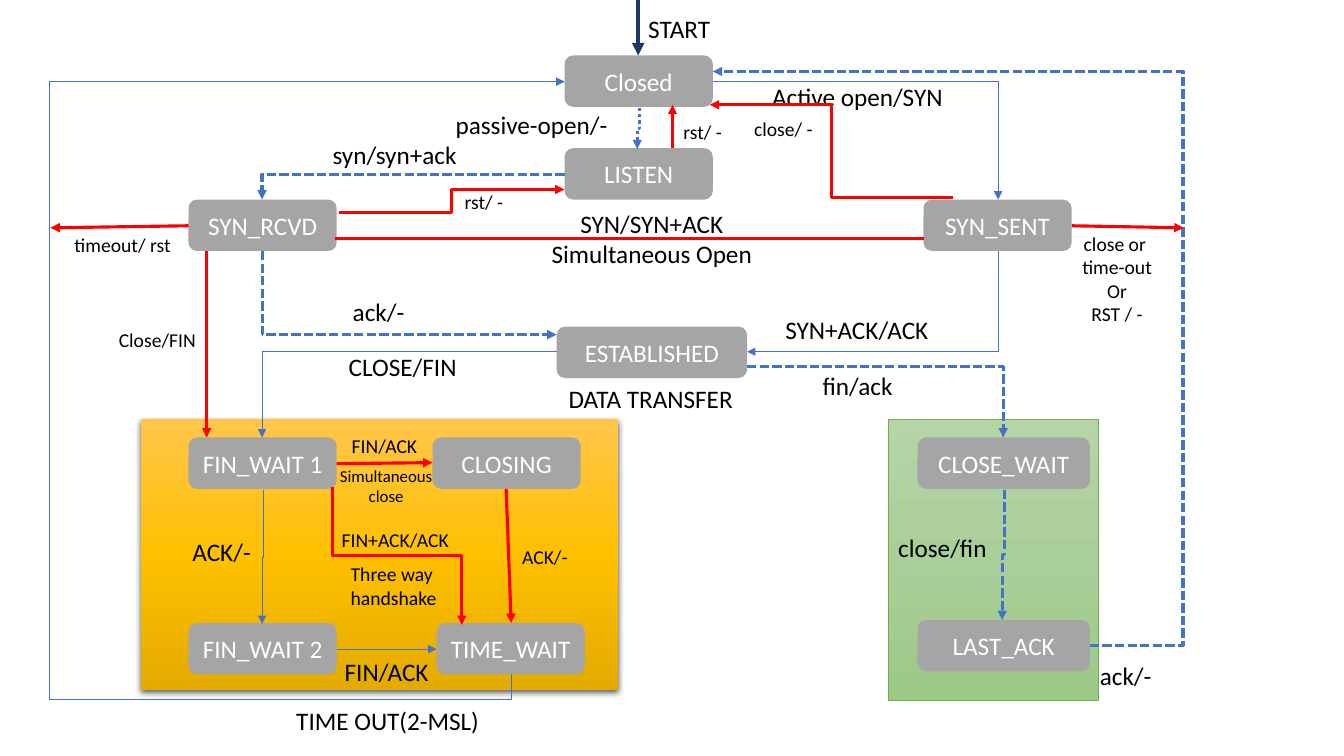
from lxml import etree
from pptx import Presentation
from pptx.dml.color import RGBColor
from pptx.enum.dml import MSO_LINE
from pptx.enum.shapes import MSO_CONNECTOR, MSO_SHAPE
from pptx.enum.text import MSO_ANCHOR, MSO_AUTO_SIZE, PP_ALIGN
from pptx.oxml.ns import qn
from pptx.util import Inches, Pt

RECT, ROUND = MSO_SHAPE.RECTANGLE, MSO_SHAPE.ROUNDED_RECTANGLE
STRAIGHT, ELBOW = MSO_CONNECTOR.STRAIGHT, MSO_CONNECTOR.ELBOW
LEFT, CENTER, MIDDLE = PP_ALIGN.LEFT, PP_ALIGN.CENTER, MSO_ANCHOR.MIDDLE
FIT = MSO_AUTO_SIZE.SHAPE_TO_FIT_TEXT
DOT, DASH = MSO_LINE.ROUND_DOT, MSO_LINE.SQUARE_DOT

BLACK, WHITE = RGBColor(0, 0, 0), RGBColor(255, 255, 255)
GRAY, RED = RGBColor(0xA5, 0xA5, 0xA5), RGBColor(255, 0, 0)
BLUE, NAVY = RGBColor(0x44, 0x72, 0xC4), RGBColor(0x20, 0x38, 0x64)
GREEN = RGBColor(0x70, 0xAD, 0x47)
LEAVES = [RGBColor(0xB5, 0xD5, 0xA7), RGBColor(0xAA, 0xCE, 0x9A), RGBColor(0x9C, 0xC9, 0x87)]
GOLDS = [RGBColor(0xFF, 0xC6, 0x4B), RGBColor(0xFF, 0xC0, 0x00), RGBColor(0xE3, 0xAB, 0x00)]

# Line styles: colour, width, dash, arrowhead
THIN = (BLUE, 0.5, None, True)
DASHED = (BLUE, 2.25, DASH, True)
DOTTED = (BLUE, 2.25, DOT, True)
ALERT = (RED, 2.25, None, True)
PLAIN = (RED, 2.25, None, False)
ENTRY = (NAVY, 3, None, True)

FONT = "Calibri"
WIDE, HIGH = 1.47, 0.51  # usual state size


def sub(parent, tag, **attrs):
    return etree.SubElement(parent, qn(tag), {k: str(v) for k, v in attrs.items()})


def write(frame, text, size, color, align):
    frame.text = text
    for para in frame.paragraphs:
        para.alignment = align
        for run in para.runs:
            run.font.name, run.font.size = FONT, Pt(size)
            run.font.color.rgb = color


def panel(slide, box, colors, edge=None):
    shape = slide.shapes.add_shape(RECT, *map(Inches, box))
    shape.shadow.inherit = False
    shape.fill.gradient()
    shape.fill.gradient_angle = 270
    stops = shape.element.spPr.find(".//" + qn("a:gsLst"))
    for stop in list(stops):
        stops.remove(stop)
    for i, color in enumerate(colors):
        sub(sub(stops, "a:gs", pos=i * 50000), "a:srgbClr", val=color)
    if edge:
        shape.line.color.rgb, shape.line.width = edge, Pt(0.5)
    else:
        shape.line.fill.background()
    return shape


def state(slide, box, name, x, y, w=WIDE):
    shape = slide.shapes.add_shape(
        ROUND, Inches(box[0] + x), Inches(box[1] + y), Inches(w), Inches(HIGH))
    shape.shadow.inherit = False
    shape.fill.solid()
    shape.fill.fore_color.rgb = GRAY
    shape.line.fill.background()
    frame = shape.text_frame
    frame.vertical_anchor, frame.word_wrap = MIDDLE, False
    write(frame, name, 18, WHITE, CENTER)


def label(slide, box, text, x, y, w, size=18, align=LEFT):
    tall = 0.1 + (text.count("\n") + 1) * size / 60
    area = slide.shapes.add_textbox(
        Inches(box[0] + x), Inches(box[1] + y), Inches(w), Inches(tall))
    frame = area.text_frame
    frame.word_wrap, frame.auto_size = False, FIT
    write(frame, text, size, BLACK, align)


def link(slide, box, style, x1, y1, x2, y2, bends=0, turn=False, adjust=()):
    """Draw a line with the given bends; turn makes it leave vertically."""
    x1, x2, y1, y2 = x1 + box[0], x2 + box[0], y1 + box[1], y2 + box[1]
    if turn:
        mx, my, dx, dy = (x1 + x2) / 2, (y1 + y2) / 2, (x2 - x1) / 2, (y2 - y1) / 2
        x1, y1, x2, y2 = mx - dy, my + dx, mx + dy, my - dx
    wire = slide.shapes.add_connector(
        ELBOW if bends else STRAIGHT, *map(Inches, (x1, y1, x2, y2)))
    props = wire.element.spPr
    if turn:
        props.find(qn("a:xfrm")).set("rot", "5400000")
    if bends:
        geom = props.find(qn("a:prstGeom"))
        geom.set("prst", f"bentConnector{bends + 1}")
        guides = geom.find(qn("a:avLst"))
        for i, part in enumerate(adjust, 1):
            sub(guides, "a:gd", name=f"adj{i}", fmla=f"val {round(part * 100000)}")
    color, width, dash, arrow = style
    wire.line.color.rgb, wire.line.width = color, Pt(width)
    if dash:
        wire.line.dash_style = dash
    if arrow:
        sub(wire.line._get_or_add_ln(), "a:tailEnd", type="triangle")
    sub(props, "a:effectLst")


def fill(slide, box, states, labels, links):
    for draw, items in ((state, states), (label, labels), (link, links)):
        for item in items:
            draw(slide, box, *item)


def active(slide, box):
    # Active close, on a gold panel with a soft shadow
    shape = panel(slide, box, GOLDS)
    glow = sub(shape.element.spPr.find(qn("a:effectLst")), "a:outerShdw",
               blurRad=Pt(4.5), dist=Pt(1.5), dir=5400000, algn="ctr", rotWithShape=0)
    sub(sub(glow, "a:srgbClr", val=BLACK), "a:alpha", val=63000)
    fill(slide, box, [
        ("FIN_WAIT 1", 0.47, 0.18), ("CLOSING", 2.89, 0.18),
        ("FIN_WAIT 2", 0.47, 2.02), ("TIME_WAIT", 2.93, 2.02),
    ], [
        ("ACK/-", 0.41, 1.11, 0.79),
        ("FIN/ACK", 1.92, 2.3, 1.04),
        ("FIN+ACK/ACK", 1.89, 1.03, 1.27, 14),
        ("Three way\nhandshake", 1.98, 1.37, 1.06, 14),
        ("FIN/ACK", 1.99, 0.1, 0.85, 14),
        ("Simultaneous\nclose", 1.85, 0.41, 1.16, 12, CENTER),
        ("ACK/-", 3.68, 1.2, 0.66, 14),
    ], [
        (THIN, 1.21, 0.7, 1.2, 2.03, 2, True),
        (THIN, 1.94, 2.28, 2.93, 2.28),
        (ALERT, 1.9, 0.67, 3.18, 2.04, 2, True),
        (ALERT, 1.94, 0.44, 2.89, 0.43),
        (ALERT, 3.62, 0.69, 3.67, 2.02),
    ])


def passive(slide, box):
    # Passive close, on a green panel
    panel(slide, box, LEAVES, GREEN)
    fill(slide, box, [
        ("CLOSE_WAIT", 0.29, 0.18, 1.71), ("LAST_ACK", 0.29, 1.99, 1.71),
    ], [
        ("close/fin", 0, 1.07, 1.09), ("ack/-", 2, 2.34, 0.72),
    ], [
        (DASHED, 1.15, 0.7, 1.13, 1.99, 2, True),
    ])


def opening(slide, box):
    # Opening handshake, and the paths into and out of both closes
    fill(slide, box, [
        ("Closed", 5.6, 0.55), ("LISTEN", 5.6, 1.47),
        ("SYN_RCVD", 1.87, 1.98), ("SYN_SENT", 9.16, 1.98),
        ("ESTABLISHED", 5.52, 3.24, 1.89),
    ], [
        ("START", 6.33, 0.08, 0.82),
        ("Active open/SYN", 7.56, 0.76, 1.92),
        ("passive-open/-", 4.42, 1.04, 1.73),
        ("syn/syn+ack", 3.2, 1.33, 1.44),
        ("SYN/SYN+ACK\nSimultaneous Open", 5.36, 2.02, 2.21, 18, CENTER),
        ("ack/-", 3.4, 2.89, 0.72),
        ("SYN+ACK/ACK", 7.69, 3.07, 1.64),
        ("CLOSE/FIN", 3.36, 3.44, 1.28),
        ("fin/ack", 8.06, 3.62, 0.91),
        ("DATA TRANSFER", 5.54, 3.75, 1.85),
        ("TIME OUT(2-MSL)", 2.84, 6.95, 2.03),
        ("rst/ -", 6.68, 1.14, 0.59, 14),
        ("close/ -", 7.38, 1.11, 0.79, 14),
        ("rst/ -", 4.51, 1.83, 0.59, 14),
        ("timeout/ rst", 0.64, 2.26, 1.17, 14),
        ("Close/FIN", 1.08, 3.2, 0.97, 14),
        ("close or \ntime-out\nOr\nRST / -", 10.63, 2.25, 0.9, 14, CENTER),
    ], [
        (THIN, 7.07, 0.81, 9.9, 1.98, 1),
        (THIN, 9.9, 2.49, 7.41, 3.49, 1, True),
        (THIN, 5.52, 3.49, 2.6, 4.34, 1),
        (THIN, 5.07, 6.69, 5.6, 0.81, 3, True, (-0.043, -8.638)),
        (DOTTED, 6.34, 1.07, 6.32, 1.48, 2, True),
        (DASHED, 5.6, 1.73, 2.6, 1.98, 1),
        (DASHED, 2.6, 2.49, 5.52, 3.32, 1, True),
        (DASHED, 7.41, 3.64, 9.95, 4.34, 1),
        (DASHED, 10.81, 6.4, 7.07, 0.71, 2, False, (-0.247,)),
        (ALERT, 10.63, 2.24, 11.74, 2.26),
        (ALERT, 9.45, 1.96, 7.04, 1.04, 2),
        (ALERT, 6.67, 1.47, 6.67, 1.04),
        (ALERT, 3.36, 2.11, 5.6, 1.88, 2),
        (ALERT, 1.87, 2.24, 0.5, 2.26),
        (ALERT, 2.05, 2.49, 2.05, 4.34),
        (PLAIN, 3.32, 2.37, 9.16, 2.37),
        (ENTRY, 6.33, 0, 6.33, 0.55),
    ])


def main():
    deck = Presentation()
    deck.slide_width, deck.slide_height = Inches(13.33), Inches(7.5)
    slide = deck.slides.add_slide(deck.slide_layouts[6])
    passive(slide, (8.81, 4.16, 2.08, 2.79))
    active(slide, (1.4, 4.16, 4.73, 2.69))
    opening(slide, (0, 0, 13.33, 7.5))
    deck.save("out.pptx")


if __name__ == "__main__":
    main()
